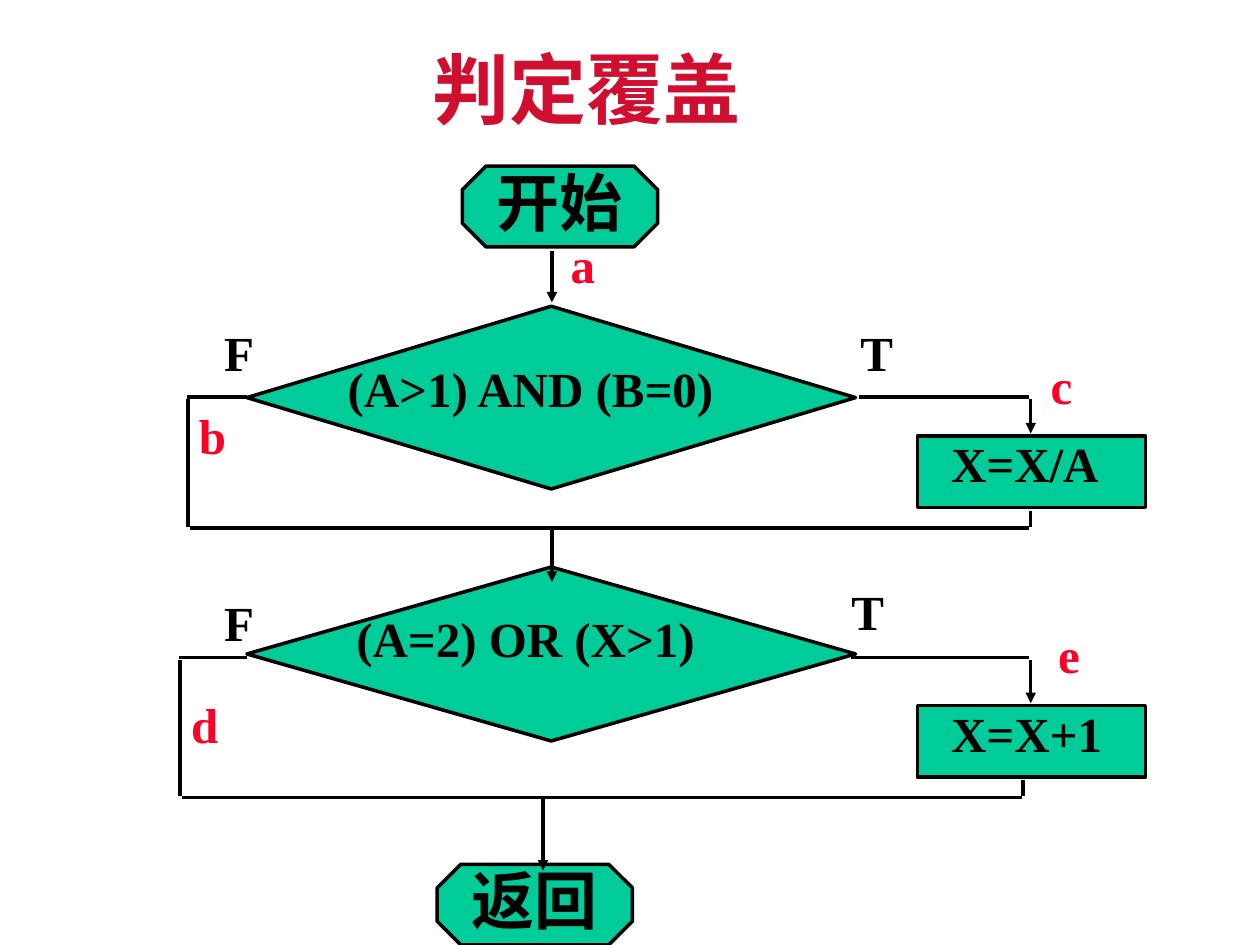
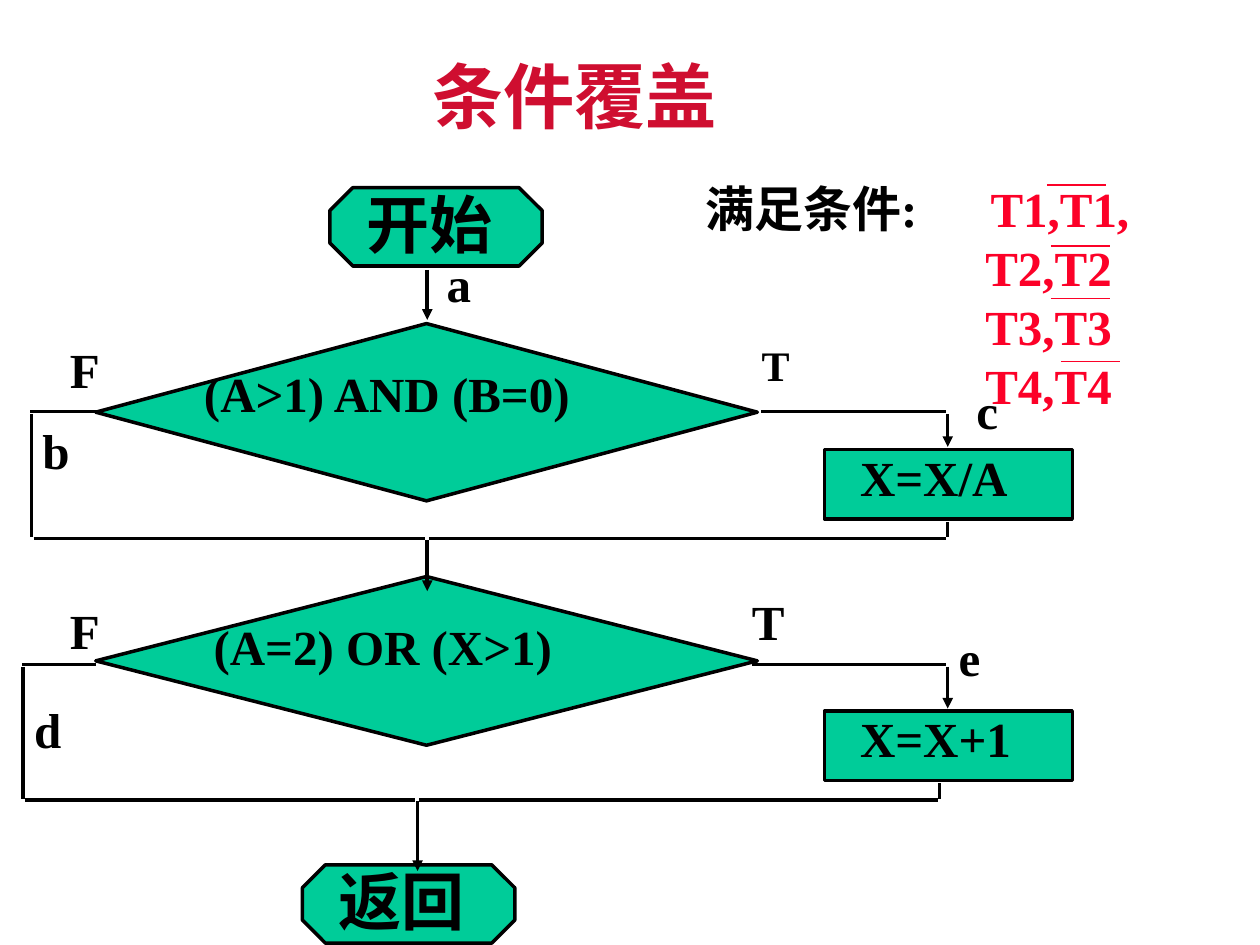
"""Build two flowchart slides on decision coverage and condition coverage."""
from dataclasses import dataclass, field

from lxml import etree
from pptx import Presentation
from pptx.dml.color import RGBColor
from pptx.enum.shapes import MSO_CONNECTOR, MSO_SHAPE
from pptx.oxml.ns import qn
from pptx.util import Pt

STRAIGHT = MSO_CONNECTOR.STRAIGHT
OCTAGON = MSO_SHAPE.OCTAGON
DIAMOND = MSO_SHAPE.DIAMOND
RECTANGLE = MSO_SHAPE.RECTANGLE

COLORS = {"title": "CF0E30", "node": "00CC99", "ink": "000000", "accent": "FC0128"}
SERIF, HAN, HAN_TITLE = "Times New Roman", "Noto Sans CJK SC", "Noto Sans CJK JP"
TEXT_HEIGHT = 40.3
NODE_LEFT, NODE_WIDTH = 141.1, 347.8
FLOW_X, ACTION_X = 315.4, 589


@dataclass(frozen=True)
class Terminal:
    text: str
    left: float
    top: float


@dataclass(frozen=True)
class Decision:
    condition: str
    top: float
    height: float
    text_dx: float
    action: str
    action_top: float
    branch_y: float
    false_x: float
    true_x: float
    merge_y: float
    merge_right: float
    exit_x: float
    exit_y: float


@dataclass(frozen=True)
class Label:
    text: str
    left: float
    top: float
    is_edge: bool = True


@dataclass(frozen=True)
class Frame:
    """Map the base flowchart coordinates onto one slide."""
    left: float = NODE_LEFT
    top: float = 95
    x_scale: float = 1
    y_scale: float = 1

    def x(self, value: float) -> float:
        return self.left + (value - NODE_LEFT) * self.x_scale

    def y(self, value: float) -> float:
        return self.top + (value - 95) * self.y_scale


@dataclass(frozen=True)
class Flowchart:
    title: str
    title_size: float
    title_top: float
    frame: Frame
    edge_color: str
    condition_dy: tuple[float, float]
    split_merges: bool = False
    moved: dict[str, tuple[float, float]] = field(default_factory=dict)
    first_true_size: float = 28


TERMINALS = (Terminal("开始", 264.2, 95), Terminal("返回", 249.8, 493.9))
DECISIONS = (
    Decision("(A>1) AND (B=0)", 175, 104.4, 50.4, "X=X/A", 249.1,
             226.8, 107.3, 491, 301.7, 589, FLOW_X, 332.6),
    Decision("(A=2) OR (X>1)", 324, 99.4, 55.4, "X=X+1", 403.2,
             375.8, 103, 486, 455.8, 584.6, 310.3, 497.5),
)
LABELS = (
    Label("F", 121, 180.7, False), Label("F", 121, 334.8, False),
    Label("T", 484.6, 180.7, False), Label("T", 479.5, 329, False),
    Label("a", 319, 130.3), Label("b", 106.6, 228.2), Label("d", 102.2, 393.1),
    Label("c", 593.3, 199.4), Label("e", 597.6, 353.5),
)
FLOWCHARTS = (
    Flowchart("判定覆盖", 44, 30.2, Frame(), "accent", (26.6, 20.2)),
    Flowchart("条件覆盖", 40.7, 36, Frame(54.7, 107.3, 1.087, 0.97), "ink", (19.4, 19.4),
              True, {"c": (550.8, 213.8), "e": (540.7, 355)}, 24),
)
COVERED = ("T2,T2", "T3,T3", "T4,T4")
OVERLINES = ((598.3, 105.8), (600.5, 140.4), (600.5, 170.6), (606.2, 206.6))


def rgb(name: str) -> RGBColor:
    return RGBColor.from_string(COLORS[name])


def set_font(paragraph, size: float, color: str, latin: str = SERIF, han: str = HAN) -> None:
    font = paragraph.font
    font.size, font.bold, font.name = Pt(size), True, latin
    font.color.rgb = rgb(color)
    properties = paragraph._p.pPr.find(qn("a:defRPr"))
    etree.SubElement(properties, qn("a:ea")).set("typeface", han)


def add_box(slide, left: float, top: float, width: float, height: float, wrap: bool = True):
    frame = slide.shapes.add_textbox(Pt(left), Pt(top), Pt(width), Pt(height)).text_frame
    frame.word_wrap = wrap
    return frame


def add_text(slide, text: str, left: float, top: float, width: float,
             size: float = 28, color: str = "ink") -> None:
    paragraph = add_box(slide, left, top, width, TEXT_HEIGHT).paragraphs[0]
    paragraph.text = text
    set_font(paragraph, size, color)


def add_node(slide, frame: Frame, kind, left: float, top: float, width: float, height: float):
    node = slide.shapes.add_shape(kind, Pt(frame.x(left)), Pt(frame.y(top)),
                                  Pt(width * frame.x_scale), Pt(height * frame.y_scale))
    node.shadow.inherit = False
    node.fill.solid()
    node.fill.fore_color.rgb = rgb("node")
    node.line.color.rgb = rgb("ink")
    node.line.width = Pt(2)


def add_line(slide, x1: float, y1: float, x2: float, y2: float,
             color: str = "ink", width: float = 2, arrow: bool = False) -> None:
    line = slide.shapes.add_connector(STRAIGHT, Pt(x1), Pt(y1), Pt(x2), Pt(y2))
    line.line.color.rgb = rgb(color)
    line.line.width = Pt(width)
    if arrow:
        etree.SubElement(line.line._get_or_add_ln(), qn("a:tailEnd")).set("type", "triangle")
    etree.SubElement(line._element.spPr, qn("a:effectLst"))


def add_title(slide, chart: Flowchart) -> None:
    paragraph = add_box(slide, 240, chart.title_top, 204, 54).paragraphs[0]
    paragraph.text = chart.title
    paragraph.line_spacing = 0.8
    set_font(paragraph, chart.title_size, "title", HAN_TITLE, HAN_TITLE)


def add_terminal(slide, frame: Frame, terminal: Terminal) -> None:
    add_node(slide, frame, OCTAGON, terminal.left, terminal.top, 111.6, 46.1)
    paragraph = add_box(slide, frame.x(terminal.left + 12.6), frame.y(terminal.top - 5),
                        86.4, 50.4, wrap=False).paragraphs[0]
    paragraph.text = terminal.text
    set_font(paragraph, 36, "ink", HAN)


def add_decision(slide, frame: Frame, step: Decision, condition_dy: float) -> None:
    add_node(slide, frame, DIAMOND, NODE_LEFT, step.top, NODE_WIDTH, step.height)
    add_text(slide, step.condition, frame.x(NODE_LEFT + step.text_dx),
             frame.y(step.top) + condition_dy, 260.6 * frame.x_scale)
    add_node(slide, frame, RECTANGLE, 524.2, step.action_top, 130.3, 41)
    add_text(slide, step.action, frame.x(536.4), frame.y(step.action_top - 5),
             118.8 * frame.x_scale)


def add_flow(slide, frame: Frame, step: Decision, split: bool) -> None:
    def connect(x1: float, y1: float, x2: float, y2: float, arrow: bool = False) -> None:
        add_line(slide, frame.x(x1), frame.y(y1), frame.x(x2), frame.y(y2), arrow=arrow)

    connect(NODE_LEFT, step.branch_y, step.false_x - 0.7, step.branch_y)
    connect(step.false_x, step.branch_y + 1.4, step.false_x, step.merge_y - 0.7)
    connect(step.true_x, step.branch_y, ACTION_X - 0.8, step.branch_y)
    connect(ACTION_X, step.branch_y + 1.4, ACTION_X, step.action_top - 1.4, arrow=True)
    connect(step.merge_right, step.action_top + 42.7, step.merge_right, step.merge_y - 0.7)
    stops = [step.false_x + 1.2, step.merge_right - 0.8]
    if split:
        stops[1:1] = [step.exit_x - 1.2, step.exit_x + 0.8]
    for start, end in zip(stops[::2], stops[1::2]):
        connect(start, step.merge_y, end, step.merge_y)
    connect(step.exit_x, step.merge_y + 0.7, step.exit_x, step.exit_y, arrow=True)


def add_labels(slide, chart: Flowchart) -> None:
    frame = chart.frame
    first_true = next(label for label in LABELS if label.text == "T")
    for label in LABELS:
        left, top = chart.moved.get(label.text, (frame.x(label.left), frame.y(label.top)))
        size = chart.first_true_size if label is first_true else 28
        color = chart.edge_color if label.is_edge else "ink"
        add_text(slide, label.text, left, top, 31, size, color)


def add_flowchart(slide, chart: Flowchart) -> None:
    frame = chart.frame
    add_title(slide, chart)
    for terminal in TERMINALS:
        add_terminal(slide, frame, terminal)
    for step, condition_dy in zip(DECISIONS, chart.condition_dy):
        add_decision(slide, frame, step, condition_dy)
    add_line(slide, frame.x(FLOW_X), frame.y(143.3), frame.x(FLOW_X), frame.y(172.8), arrow=True)
    for step in DECISIONS:
        add_flow(slide, frame, step, chart.split_merges)
    add_labels(slide, chart)


def add_covered_conditions(slide) -> None:
    box = add_box(slide, 396, 98.6, 324, 141.1)
    heading = box.paragraphs[0]
    for text, color in (("满足条件:", "ink"), ("\tT1,T1,", "accent")):
        run = heading.add_run()
        run.text = text
        run.font.color.rgb = rgb(color)
    tabs = etree.SubElement(heading._p.get_or_add_pPr(), qn("a:tabLst"))
    etree.SubElement(tabs, qn("a:tab"), pos=str(Pt(163)), algn="l")
    set_font(heading, 28, "ink")
    for text in COVERED:
        paragraph = box.add_paragraph()
        paragraph.text = text
        paragraph._p.get_or_add_pPr().set("marL", str(Pt(160)))
        set_font(paragraph, 28, "accent")
    for left, top in OVERLINES:
        add_line(slide, left, top, left + 33.8, top, "accent", 1)


def main() -> None:
    deck = Presentation()
    deck.slide_width, deck.slide_height = Pt(720), Pt(540)
    slides = [deck.slides.add_slide(deck.slide_layouts[6]) for _ in FLOWCHARTS]
    for slide, chart in zip(slides, FLOWCHARTS):
        add_flowchart(slide, chart)
    add_covered_conditions(slides[1])
    deck.save("out.pptx")


if __name__ == "__main__":
    main()
